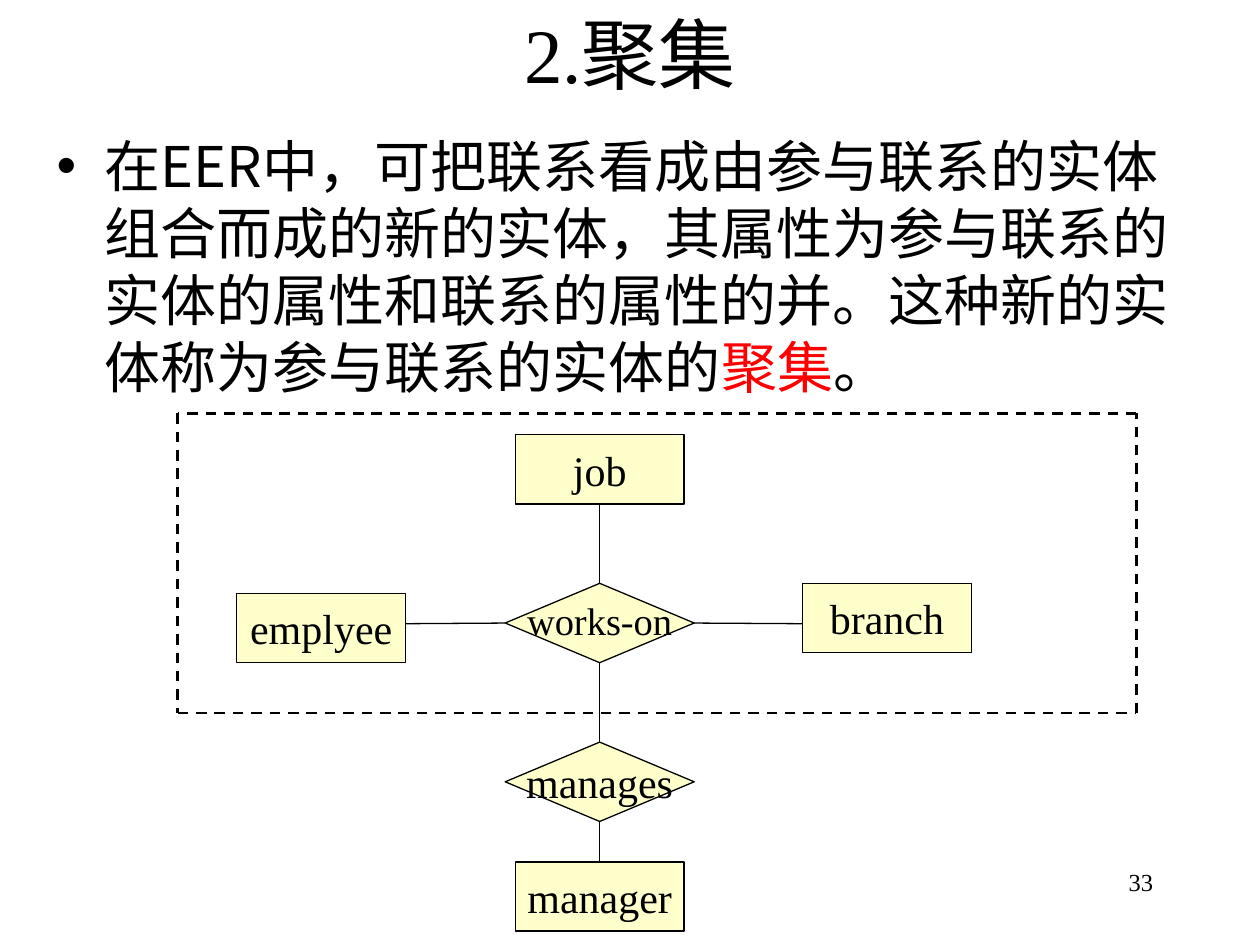
import pptx
import pptx.util
from lxml import etree
from pptx.dml.color import RGBColor
from pptx.enum.dml import MSO_LINE
from pptx.enum.shapes import MSO_CONNECTOR, MSO_SHAPE
from pptx.enum.text import MSO_ANCHOR, MSO_AUTO_SIZE, PP_ALIGN
from pptx.oxml.ns import qn
from pptx.util import Inches

SERIF, SANS = "Times New Roman", "Noto Sans CJK SC"
BLACK, RED, CREAM = "000000", "FF0000", "FFFFCC"

TITLE = "2.聚集"
DEFINITION = [
    ("在EER中，可把联系看成由参与联系的实体组合而成的新的实体，"
     "其属性为参与联系的实体的属性和联系的属性的并。"
     "这种新的实体称为参与联系的实体的", BLACK),
    ("聚集", RED),
    ("。", BLACK),
]
PAGE_NUMBER = "33"

ENTITY_SIZE = (1.34, 0.55)
RELATION_SIZE = (1.5, 0.63)
ENTITIES = {"job": (4.09, 3.45), "emplyee": (1.88, 4.71),
            "branch": (6.37, 4.63), "manager": (4.09, 6.84)}
RELATIONS = {"works-on": (4.01, 4.63, 22), "manages": (4.01, 5.89, 24)}

TOP, LEFT, BOTTOM, RIGHT = range(4)
VERTICAL_LINKS = [("job", "works-on"), ("works-on", "manages"), ("manages", "manager")]
SIDE_LINKS = [(LEFT, 3.22), (RIGHT, 6.37)]  # side of works-on, x of the entity's edge
SIDE_LINK_Y = 4.95
AGGREGATE = (1.41, 3.28, 9.02, 5.66)  # left, top, right, bottom


def color(hex_code):
    return RGBColor.from_string(hex_code)


def format_run(run, size, font, hex_code=BLACK):
    run.font.size = pptx.util.Pt(size)
    run.font.name = font
    run.font.color.rgb = color(hex_code)
    east_asian = etree.SubElement(run.font._element, qn("a:ea"))
    east_asian.set("typeface", SANS)


def place(shape, left, top, width, height):
    shape.left, shape.top = Inches(left), Inches(top)
    shape.width, shape.height = Inches(width), Inches(height)


def add_node(slide, preset, label, position, dimensions, size):
    node = slide.shapes.add_shape(preset, *map(Inches, position + dimensions))
    node.shadow.inherit = False
    node.fill.solid()
    node.fill.fore_color.rgb = color(CREAM)
    node.line.color.rgb = color(BLACK)
    node.line.width = pptx.util.Pt(0.75)
    frame = node.text_frame
    frame.text = label
    frame.word_wrap = False
    frame.vertical_anchor = MSO_ANCHOR.MIDDLE
    frame.paragraphs[0].alignment = PP_ALIGN.CENTER
    format_run(frame.paragraphs[0].runs[0], size, SERIF)
    return node


def add_line(slide, start=(0, 0), end=(0, 0), width=0.75):
    line = slide.shapes.add_connector(MSO_CONNECTOR.STRAIGHT, *map(Inches, start + end))
    line.line.color.rgb = color(BLACK)
    line.line.width = pptx.util.Pt(width)
    etree.SubElement(line._element.spPr, qn("a:effectLst"))
    return line


def add_text(slide):
    title = slide.shapes.title
    place(title, 0.75, 0, 8.5, 0.84)
    title.text_frame.text = TITLE
    title.text_frame.vertical_anchor = MSO_ANCHOR.MIDDLE
    title.text_frame.paragraphs[0].alignment = PP_ALIGN.CENTER
    format_run(title.text_frame.paragraphs[0].runs[0], 44, SERIF)

    body = slide.placeholders[1]
    place(body, 0.35, 0.99, 9.13, 2.68)
    body.text_frame.auto_size = MSO_AUTO_SIZE.NONE
    definition = body.text_frame.paragraphs[0]
    definition.space_before = pptx.util.Pt(0)
    properties = definition._p.get_or_add_pPr()
    properties.set("marL", str(Inches(0.38)))
    properties.set("indent", str(-Inches(0.38)))
    etree.SubElement(properties, qn("a:buChar")).set("char", "•")
    for words, hex_code in DEFINITION:
        run = definition.add_run()
        run.text = words
        format_run(run, 32, SANS, hex_code)

    number = slide.shapes.add_textbox(*map(Inches, (7.17, 6.83, 2.08, 0.5)))
    number.text_frame.word_wrap = True
    number.text_frame.text = PAGE_NUMBER
    number.text_frame.paragraphs[0].alignment = PP_ALIGN.RIGHT
    format_run(number.text_frame.paragraphs[0].runs[0], 14, SERIF)


def add_diagram(slide):
    nodes = {}
    for label, position in ENTITIES.items():
        nodes[label] = add_node(slide, MSO_SHAPE.RECTANGLE, label, position, ENTITY_SIZE, 24)
    for label, (left, top, size) in RELATIONS.items():
        nodes[label] = add_node(slide, MSO_SHAPE.FLOWCHART_DECISION, label,
                                (left, top), RELATION_SIZE, size)
    works_on = nodes["works-on"].text_frame
    works_on.margin_left = works_on.margin_right = works_on.margin_top = 0

    for upper, lower in VERTICAL_LINKS:
        link = add_line(slide)
        link.begin_connect(nodes[upper], BOTTOM)
        link.end_connect(nodes[lower], TOP)
    for side, entity_edge in SIDE_LINKS:
        link = add_line(slide, end=(entity_edge, SIDE_LINK_Y))
        link.begin_connect(nodes["works-on"], side)

    left, top, right, bottom = AGGREGATE
    corners = [(left, bottom), (right, bottom), (right, top), (left, top)]
    for start, end in zip(corners, corners[1:] + corners[:1]):
        add_line(slide, start, end, 1.5).line.dash_style = MSO_LINE.DASH


def main():
    deck = pptx.Presentation()
    deck.slide_width, deck.slide_height = Inches(10), Inches(7.5)
    slide = deck.slides.add_slide(deck.slide_layouts[1])
    add_text(slide)
    add_diagram(slide)
    deck.save("out.pptx")


if __name__ == "__main__":
    main()
